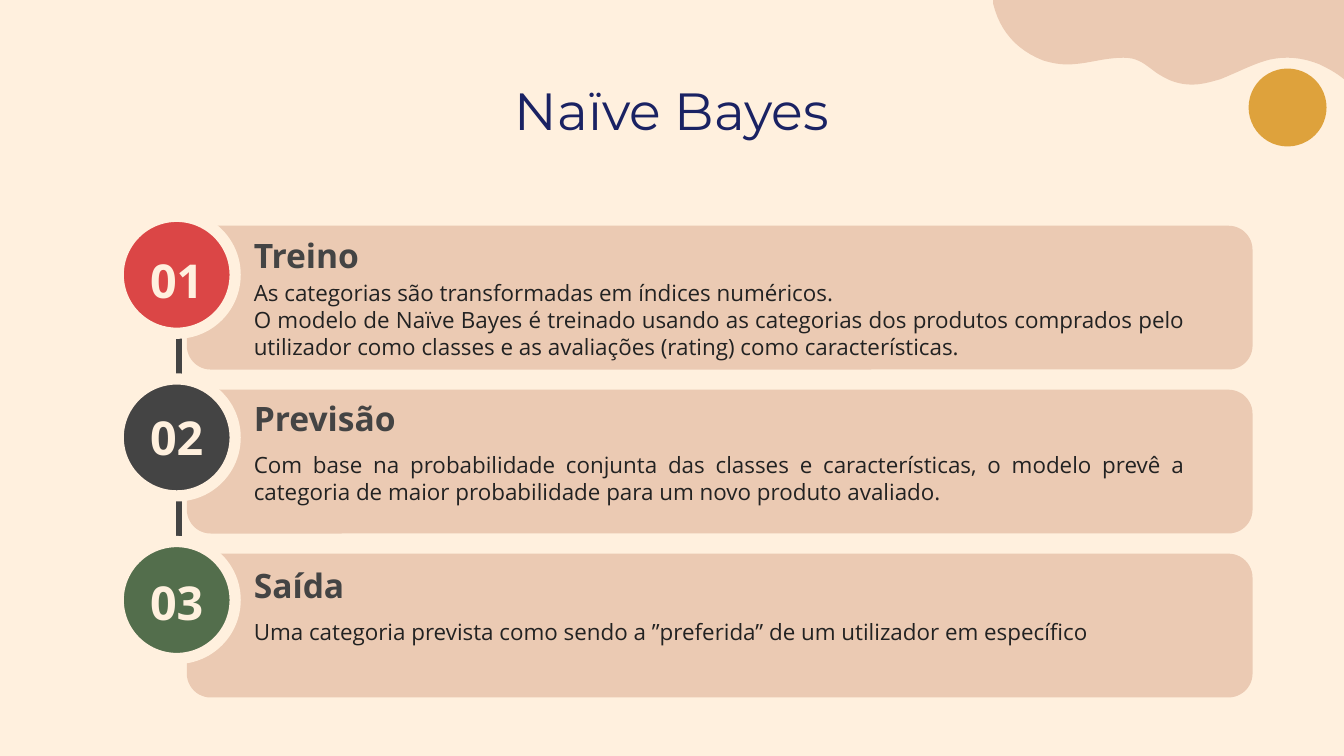
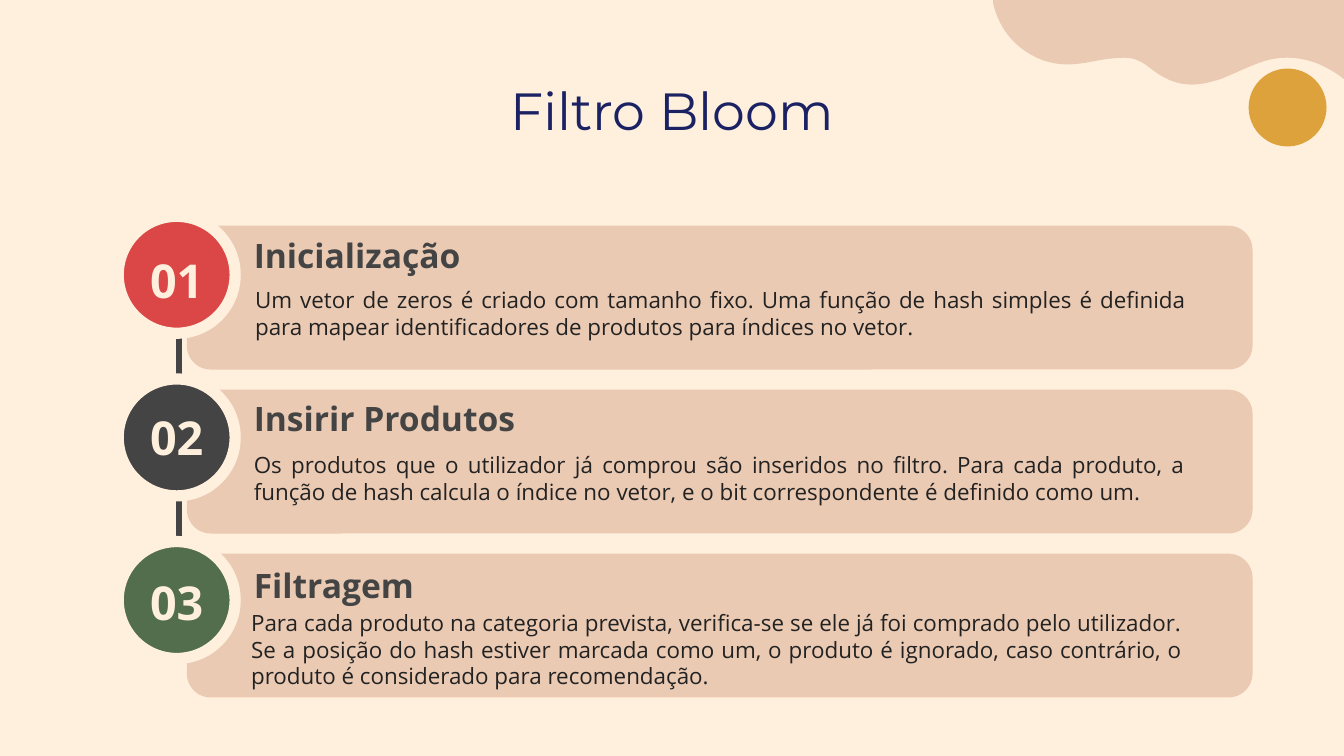
import pptx
import pptx.dml.color
import pptx.enum.shapes
import pptx.enum.text
import pptx.oxml.ns
import pptx.util
from lxml import etree

Inches = pptx.util.Inches
MSO_SHAPE = pptx.enum.shapes.MSO_SHAPE
ALIGN = pptx.enum.text.PP_ALIGN
ANCHOR = pptx.enum.text.MSO_ANCHOR

CREAM, SAND, GOLD = "FFF0DE", "EBCAB3", "DEA23C"
NAVY, GRAY, INK = "1A2263", "444444", "222222"
RED, GREEN = "DB4646", "536E4C"


def paint(fmt, color):
    """Give a fill, or the fill of a line, one solid colour."""
    fmt.solid()
    fmt.fore_color.rgb = pptx.dml.color.RGBColor.from_string(color)


def write(shape, text, size, color, font="Open Sans", bold=False,
          align=ALIGN.LEFT, anchor=ANCHOR.TOP):
    tf = shape.text_frame
    tf.text = text
    tf.word_wrap = True
    tf.auto_size = pptx.enum.text.MSO_AUTO_SIZE.NONE
    tf.vertical_anchor = anchor
    tf.margin_left = tf.margin_right = Inches(0.1)
    tf.margin_top = tf.margin_bottom = Inches(0.1)
    for p in tf.paragraphs:
        p.alignment = align
        for r in p.runs:
            r.font.name = font
            r.font.size = pptx.util.Pt(size)
            r.font.bold = bold
            paint(r.font.fill, color)


# Number, circle colour, top of the number, top of the heading
steps = [
    ("01", RED, 1.65, 1.65),
    ("02", GRAY, 2.82, 2.86),
    ("03", GREEN, 4.05, 4.1),
]

# Title, then heading, body left, top and height, and body text of each step
pages = [
    ("Naïve Bayes", [
        ("Treino", 1.79, 1.98, 0.75,
         "As categorias são transformadas em índices numéricos. \n"
         "O modelo de Naïve Bayes é treinado usando as categorias dos produtos "
         "comprados pelo utilizador como classes e as avaliações (rating) como "
         "características."),
        ("Previsão", 1.79, 3.26, 0.63,
         "Com base na probabilidade conjunta das classes e características, o "
         "modelo prevê a categoria de maior probabilidade para um novo produto "
         "avaliado."),
        ("Saída", 1.79, 4.5, 0.54,
         "Uma categoria prevista como sendo a ”preferida” de um utilizador em "
         "específico"),
    ]),
    ("Filtro Bloom", [
        ("Inicialização", 1.8, 2.03, 0.74,
         "Um vetor de zeros é criado com tamanho fixo. Uma função de hash "
         "simples é definida para mapear identificadores de produtos para "
         "índices no vetor."),
        ("Insirir Produtos", 1.79, 3.26, 0.63,
         "Os produtos que o utilizador já comprou são inseridos no filtro. Para "
         "cada produto, a função de hash calcula o índice no vetor, e o bit "
         "correspondente é definido como um."),
        ("Filtragem", 1.77, 4.43, 0.72,
         "Para cada produto na categoria prevista, verifica-se se ele já foi "
         "comprado pelo utilizador. Se a posição do hash estiver marcada como "
         "um, o produto é ignorado, caso contrário, o produto é considerado "
         "para recomendação."),
    ]),
]

prs = pptx.Presentation()
prs.slide_width = Inches(10)
prs.slide_height = prs.slide_width * 9 // 16
layout = prs.slide_layouts.get_by_name("Title Only")
paint(layout.background.fill, CREAM)
for ph in list(layout.placeholders):
    if ph.placeholder_format.idx >= 10:
        layout.shapes.element.remove(ph.element)

slides = [prs.slides.add_slide(layout) for _ in pages]

# Corner wave: each row holds two control points and an end point
wave_curves = [
    (9.94, 0.54, 9.88, 0.51, 9.82, 0.48),
    (9.72, 0.44, 9.64, 0.43, 9.57, 0.43),
    (9.4, 0.43, 9.28, 0.51, 9.08, 0.59),
    (9.01, 0.61, 8.94, 0.63, 8.87, 0.63),
    (8.79, 0.63, 8.72, 0.61, 8.65, 0.57),
    (8.54, 0.51, 8.5, 0.43, 8.36, 0.43),
    (8.21, 0.43, 8.08, 0.48, 7.94, 0.48),
    (7.88, 0.48, 7.83, 0.47, 7.76, 0.45),
    (7.56, 0.37, 7.44, 0.23, 7.39, 0.03),
]
x0, y0 = 10, 0.59
wave_points = [(x0, y0)]
for x1, y1, x2, y2, x3, y3 in wave_curves:
    for k in range(1, 13):
        t = k / 12
        a, b, c, d = (1 - t) ** 3, 3 * t * (1 - t) ** 2, 3 * t * t * (1 - t), t ** 3
        wave_points.append((a * x0 + b * x1 + c * x2 + d * x3,
                            a * y0 + b * y1 + c * y2 + d * y3))
    x0, y0 = x3, y3
wave_points.append((7.39, 0))

builder = slides[0].shapes.build_freeform(Inches(10), 0)
builder.add_line_segments([(Inches(x), Inches(y)) for x, y in wave_points])
wave = builder.convert_to_shape()
sun = slides[0].shapes.add_shape(MSO_SHAPE.OVAL, Inches(9.29), Inches(0.51),
                                 Inches(0.58), Inches(0.58))
for sp, color in ((wave, SAND), (sun, GOLD)):
    sp.shadow.inherit = False
    paint(sp.fill, color)
    sp.line.fill.background()
    layout.shapes.element.append(sp.element)  # moved, so every slide shows it

for s, (title, sections) in zip(slides, pages):
    sp = s.shapes.title
    sp.left, sp.top = Inches(0.78), Inches(0.48)
    sp.width, sp.height = Inches(8.44), Inches(0.63)
    write(sp, title, 28, NAVY, font="Montserrat", align=ALIGN.CENTER)

    spine = s.shapes.add_connector(pptx.enum.shapes.MSO_CONNECTOR.STRAIGHT,
                                   Inches(1.33), Inches(2.02), Inches(1.33), Inches(4.5))
    paint(spine.line.fill, GRAY)
    spine.line.width = pptx.util.Pt(3)
    etree.SubElement(spine.element.spPr, pptx.oxml.ns.qn("a:effectLst"))

    for i, (step, section) in enumerate(zip(steps, sections)):
        number, color, number_top, heading_top = step
        heading, body_left, body_top, body_height, body = section

        card = s.shapes.add_shape(MSO_SHAPE.ROUNDED_RECTANGLE, Inches(1.39),
                                  Inches(1.68 + i * 1.22), Inches(7.93), Inches(1.07))
        card.shadow.inherit = False
        paint(card.fill, SAND)
        card.line.fill.background()

        circle = s.shapes.add_shape(MSO_SHAPE.OVAL, Inches(0.88), Inches(1.61 + i * 1.21),
                                    Inches(0.87), Inches(0.87))
        circle.shadow.inherit = False
        paint(circle.fill, color)
        paint(circle.line.fill, CREAM)
        circle.line.width = pptx.util.Pt(6)

        sp = s.shapes.add_textbox(Inches(0.88), Inches(number_top), Inches(0.87), Inches(0.86))
        write(sp, number, 25, CREAM, bold=True, align=ALIGN.CENTER, anchor=ANCHOR.MIDDLE)
        sp = s.shapes.add_textbox(Inches(1.79), Inches(heading_top), Inches(2.93), Inches(0.36))
        write(sp, heading, 18, GRAY, bold=True)
        sp = s.shapes.add_textbox(Inches(body_left), Inches(body_top),
                                  Inches(7.13), Inches(body_height))
        write(sp, body, 12, INK, align=ALIGN.JUSTIFY)

prs.save("out.pptx")
